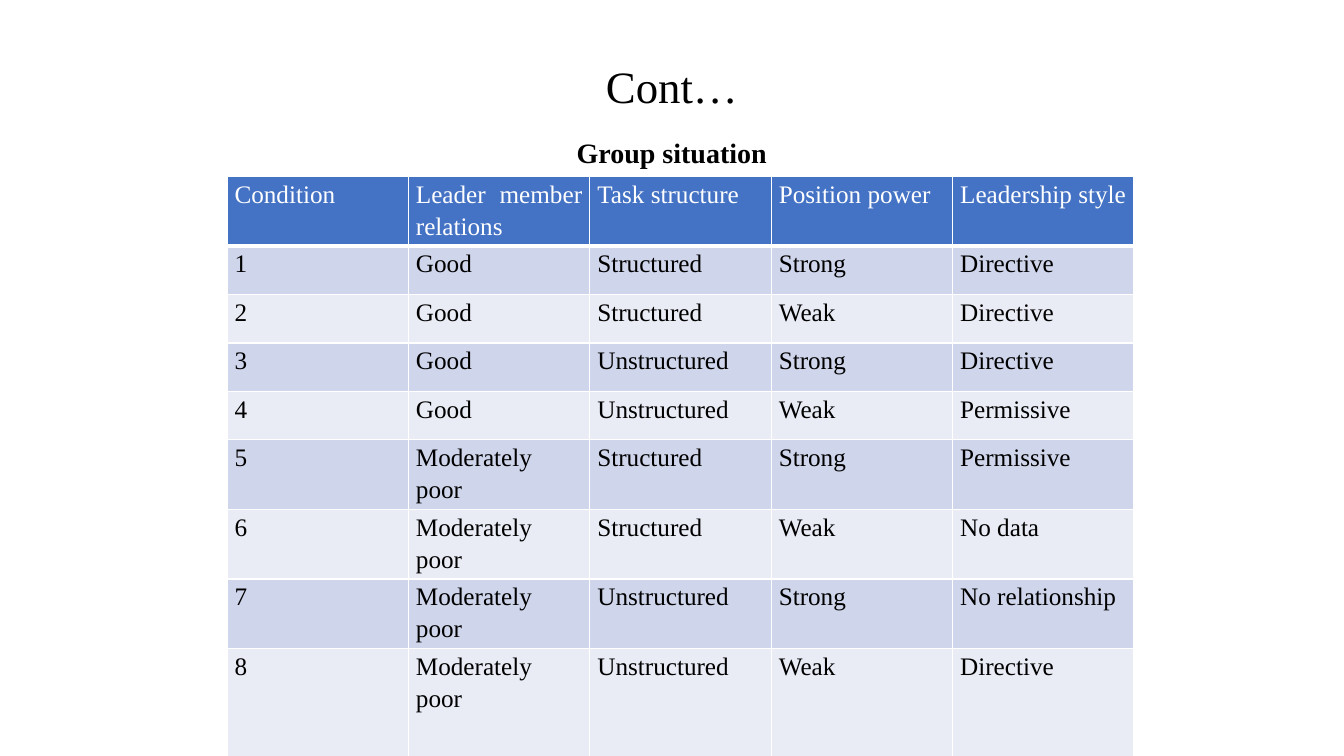
"""Build a slide with a table of group situations and leadership styles."""
import dataclasses

import lxml.etree
import pptx
import pptx.dml.color
import pptx.enum.text
import pptx.oxml.ns
import pptx.util

Cm = pptx.util.Cm
ALIGN = pptx.enum.text.PP_ALIGN
ANCHOR = pptx.enum.text.MSO_ANCHOR


@dataclasses.dataclass(frozen=True)
class Theme:
    font: str = "Times New Roman"
    ink: str = "000000"
    white: str = "FFFFFF"
    header: str = "4472C4"
    bands: tuple = ("CFD5EA", "E9EBF5")
    title_size: int = 32
    heading_size: int = 20
    cell_size: int = 18


theme = Theme()


def write_text(frame, text, size, color=theme.ink, bold=False, align=ALIGN.CENTER,
               anchor=ANCHOR.TOP, line_spacing=0.9, space_before=0):
    frame.word_wrap = True
    frame.vertical_anchor = anchor
    paragraph = frame.paragraphs[0]
    paragraph.alignment = align
    paragraph.line_spacing = line_spacing
    paragraph.space_before = pptx.util.Pt(space_before)
    run = paragraph.add_run()
    run.text = text
    run.font.name = theme.font
    run.font.size = pptx.util.Pt(size)
    run.font.bold = bold
    run.font.color.rgb = pptx.dml.color.RGBColor.from_string(color)


def add_border(cell, side, points):
    qn = pptx.oxml.ns.qn
    properties = cell._tc.get_or_add_tcPr()
    line = lxml.etree.SubElement(properties, qn(f"a:ln{side}"), w=str(pptx.util.Pt(points)))
    fill = lxml.etree.SubElement(line, qn("a:solidFill"))
    lxml.etree.SubElement(fill, qn("a:srgbClr"), val=theme.white)


presentation = pptx.Presentation()
presentation.slide_width = Cm(33.87)
presentation.slide_height = Cm(19.05)
slide = presentation.slides.add_slide(presentation.slide_layouts[6])

title = slide.shapes.add_textbox(Cm(2.33), Cm(1.01), Cm(29.21), Cm(2.46))
write_text(title.text_frame, "Cont…", theme.title_size, anchor=ANCHOR.MIDDLE)

heading = slide.shapes.add_textbox(Cm(5.5), Cm(3.39), Cm(22.86), Cm(14.4))
write_text(heading.text_frame, "Group situation", theme.heading_size, bold=True, space_before=10)

rows = [
    ("Condition", "Leader member relations", "Task structure", "Position power", "Leadership style"),
    ("1", "Good", "Structured", "Strong", "Directive"),
    ("2", "Good", "Structured", "Weak", "Directive"),
    ("3", "Good", "Unstructured", "Strong", "Directive"),
    ("4", "Good", "Unstructured", "Weak", "Permissive"),
    ("5", "Moderately poor", "Structured", "Strong", "Permissive"),
    ("6", "Moderately poor", "Structured", "Weak", "No data"),
    ("7", "Moderately poor", "Unstructured", "Strong", "No relationship"),
    ("8", "Moderately poor", "Unstructured", "Weak", "Directive"),
]
row_heights = [1.27] + [1.22] * 7 + [3.94]

table = slide.shapes.add_table(len(rows), len(rows[0]), Cm(5.72), Cm(4.45),
                               Cm(22.86), Cm(sum(row_heights))).table
for row_index, (values, height) in enumerate(zip(rows, row_heights)):
    is_header = row_index == 0
    table.rows[row_index].height = Cm(height)
    for column_index, value in enumerate(values):
        cell = table.cell(row_index, column_index)
        cell.margin_left = cell.margin_right = Cm(0.19)
        cell.margin_top = cell.margin_bottom = 0
        for side in "LRTB":
            add_border(cell, side, 3 if is_header and side == "B" else 1)
        cell.fill.solid()
        color = theme.header if is_header else theme.bands[(row_index - 1) % 2]
        cell.fill.fore_color.rgb = pptx.dml.color.RGBColor.from_string(color)
        write_text(cell.text_frame, value, theme.cell_size,
                   color=theme.white if is_header else theme.ink,
                   align=ALIGN.JUSTIFY, line_spacing=1.15)

presentation.save("out.pptx")
